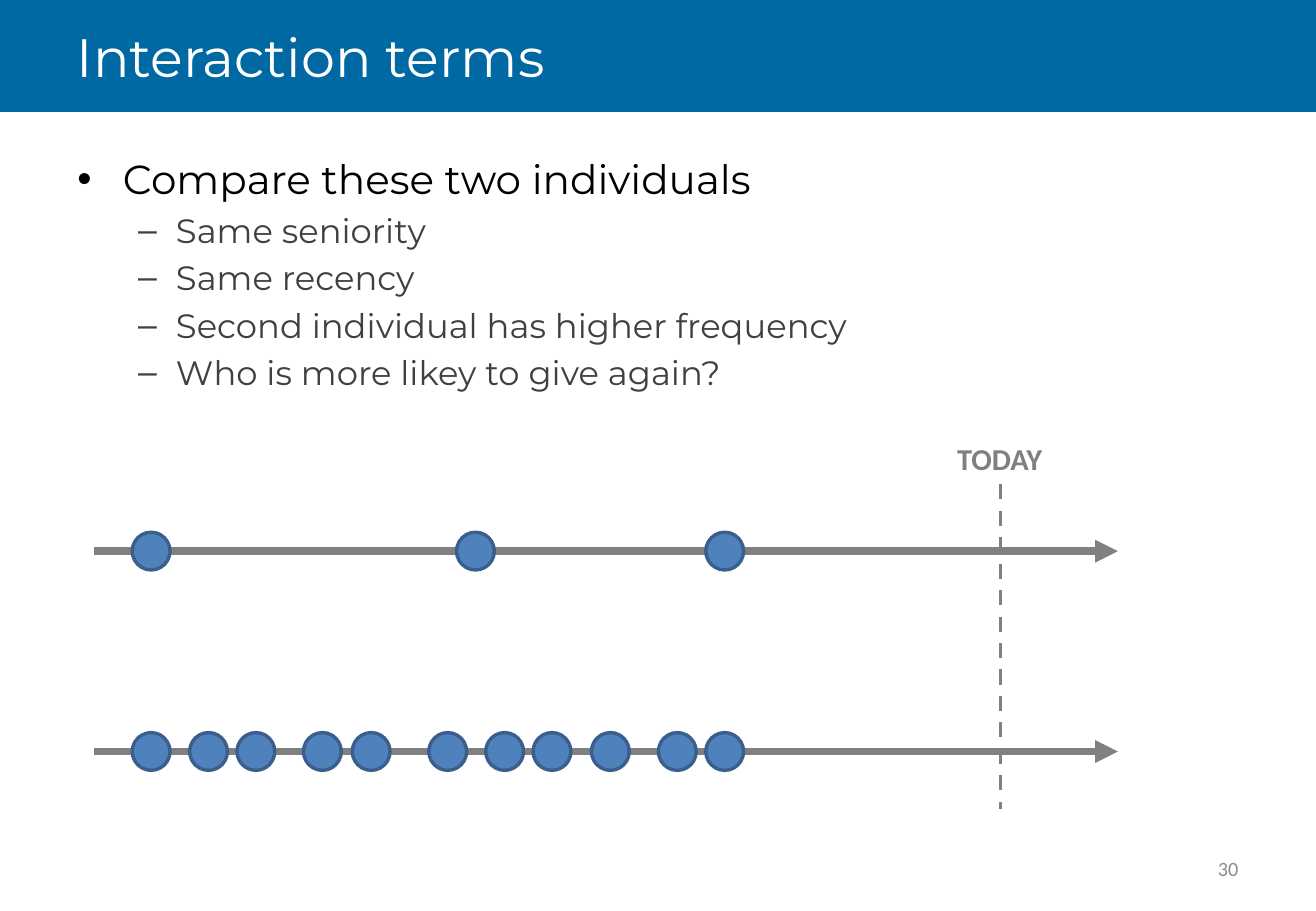
import pptx
import pptx.dml.color
import pptx.enum.dml
import pptx.enum.shapes
import pptx.enum.text
import pptx.oxml.ns
import pptx.util
from lxml import etree

Cm = pptx.util.Cm
Pt = pptx.util.Pt
ALIGN = pptx.enum.text.PP_ALIGN
ANCHOR = pptx.enum.text.MSO_ANCHOR
SHAPE = pptx.enum.shapes.MSO_SHAPE

SLIDE_WIDTH, SLIDE_HEIGHT = 27.51, 19.05
GREY = "808080"
DOT_SIZE = 0.79
FIRST_GIFTS = [1.2, 7.98, 13.19]
SECOND_GIFTS = [1.2, 2.4, 3.39, 4.78, 5.8, 7.4, 8.59, 9.58, 10.8, 12.2, 13.19]
COMPARISONS = [
    "Same seniority",
    "Same recency",
    "Second individual has higher frequency",
    "Who is more likey to give again?",
]


def color(value):
    return pptx.dml.color.RGBColor.from_string(value)


def lengths(box):
    return [Cm(value) for value in box]


def add_run(paragraph, text, font, size, hue, bold=False):
    run = paragraph.add_run()
    run.text = text
    run.font.name = font
    run.font.size = Pt(size)
    run.font.bold = bold
    run.font.color.rgb = color(hue)


def add_shape(shapes, kind, box, fill):
    shape = shapes.add_shape(kind, *lengths(box))
    shape.shadow.inherit = False
    shape.fill.solid()
    shape.fill.fore_color.rgb = color(fill)
    return shape


def add_text_frame(slide, box, anchor=ANCHOR.MIDDLE, wrap=True):
    frame = slide.shapes.add_textbox(*lengths(box)).text_frame
    frame.word_wrap = wrap
    frame.vertical_anchor = anchor
    return frame


def add_line(slide, start, end, width):
    line = slide.shapes.add_connector(
        pptx.enum.shapes.MSO_CONNECTOR.STRAIGHT, *lengths(start + end))
    line.line.color.rgb = color(GREY)
    line.line.width = Pt(width)
    etree.SubElement(line._element.spPr, pptx.oxml.ns.qn("a:effectLst"))
    return line


def add_bullet(paragraph, char, margin, hanging):
    properties = paragraph._p.get_or_add_pPr()
    properties.set("marL", str(Cm(margin)))
    properties.set("indent", str(-Cm(hanging)))
    etree.SubElement(properties, pptx.oxml.ns.qn("a:buFont"), typeface="Arial")
    etree.SubElement(properties, pptx.oxml.ns.qn("a:buChar"), char=char)


def add_header(slide, box):
    left, top, width, height = box
    band = add_shape(slide.shapes, SHAPE.RECTANGLE, box, "0068A2")
    band.line.fill.background()
    title = slide.shapes.title
    title._element.addprevious(band._element)
    title.left, title.top, title.width, title.height = lengths(
        (left + 1.35, top, 24.76, height))
    frame = title.text_frame
    frame.word_wrap = True
    frame.vertical_anchor = ANCHOR.MIDDLE
    heading = frame.paragraphs[0]
    heading.alignment = ALIGN.LEFT
    add_run(heading, "Interaction terms", "Montserrat", 32, "FFFFFF")


def add_comparison(slide, box):
    frame = add_text_frame(slide, box)
    lead = frame.paragraphs[0]
    add_bullet(lead, "•", 0.95, 0.95)
    add_run(lead, "Compare these two individuals", "Montserrat", 24, "000000")
    for comparison in COMPARISONS:
        point = frame.add_paragraph()
        point.level = 1
        add_bullet(point, "–", 2.06, 0.79)
        point.space_before = Pt(4)
        add_run(point, comparison, "Montserrat", 20, "404040")


def add_timeline(slide, box, gifts):
    left, top, width, height = box
    middle = top + height / 2
    axis = add_line(slide, (left, middle), (left + width, middle), 4.5)
    etree.SubElement(axis.line._get_or_add_ln(),
                     pptx.oxml.ns.qn("a:tailEnd"), type="triangle")
    individual = slide.shapes.add_group_shape()
    for gift in gifts:
        dot = add_shape(individual.shapes, SHAPE.OVAL,
                        (left + gift - height / 2, top, height, height), "4F81BD")
        dot.line.color.rgb = color("3A5F8C")
        dot.line.width = Pt(2)


def add_today(slide, box):
    left, top, width, height = box
    center = left + width / 2
    marker = add_line(slide, (center, top + 1.04), (center, top + height), 2.25)
    marker.line.dash_style = pptx.enum.dml.MSO_LINE.DASH
    frame = add_text_frame(slide, (left, top, width, 1.02), ANCHOR.TOP, False)
    add_run(frame.paragraphs[0], "TODAY", "Calibri", 18, GREY, True)


def add_page_number(slide, box):
    number = add_text_frame(slide, box).paragraphs[0]
    number.alignment = ALIGN.RIGHT
    add_run(number, "30", "Calibri", 12, "8C8C8C")


def main():
    deck = pptx.Presentation()
    deck.slide_width, deck.slide_height = lengths((SLIDE_WIDTH, SLIDE_HEIGHT))
    slide = deck.slides.add_slide(deck.slide_layouts[5])
    add_header(slide, (0, 0, SLIDE_WIDTH, 2.34))
    add_comparison(slide, (1.37, 2.72, 24.76, 5.99))
    add_page_number(slide, (19.71, 17.65, 6.43, 1.02))
    for top, gifts in ((11.13, FIRST_GIFTS), (15.32, SECOND_GIFTS)):
        add_timeline(slide, (1.96, top, 21.41, DOT_SIZE), gifts)
    add_today(slide, (19.76, 9.09, 2.31, 7.83))
    deck.save("out.pptx")


if __name__ == "__main__":
    main()
